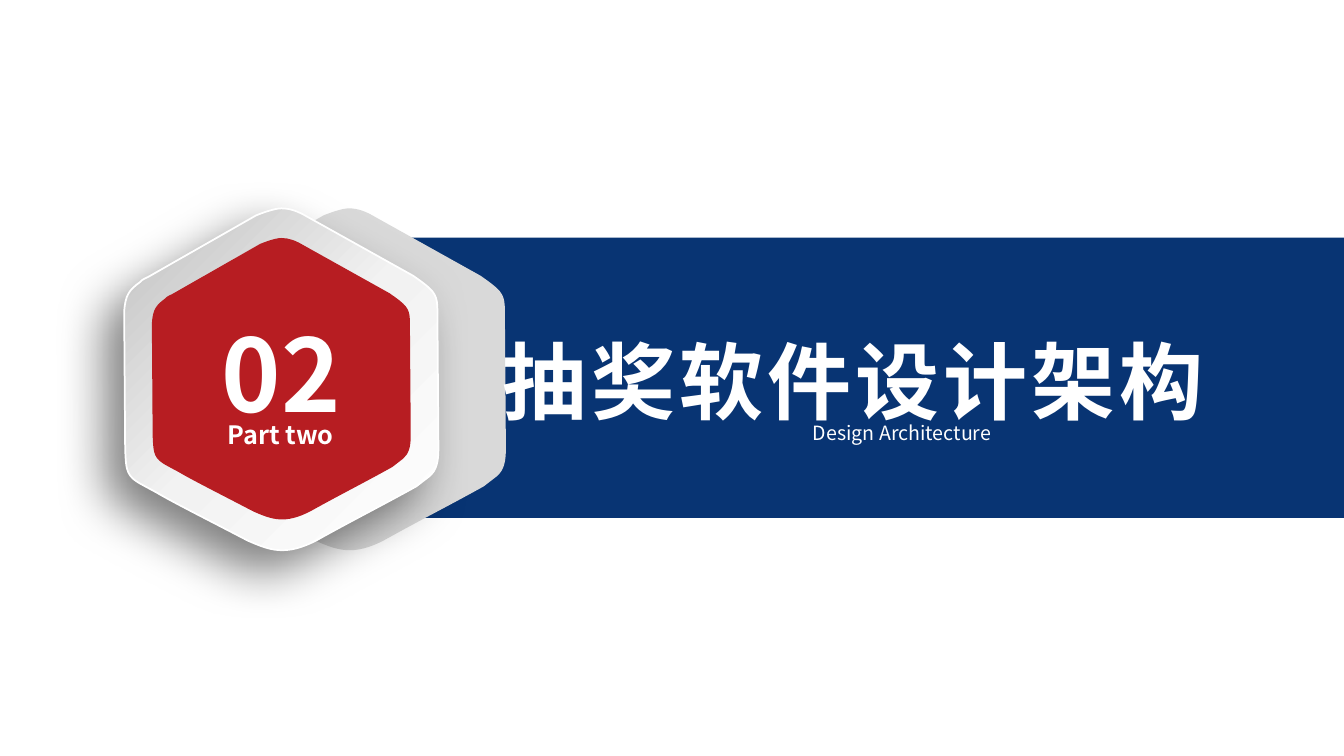
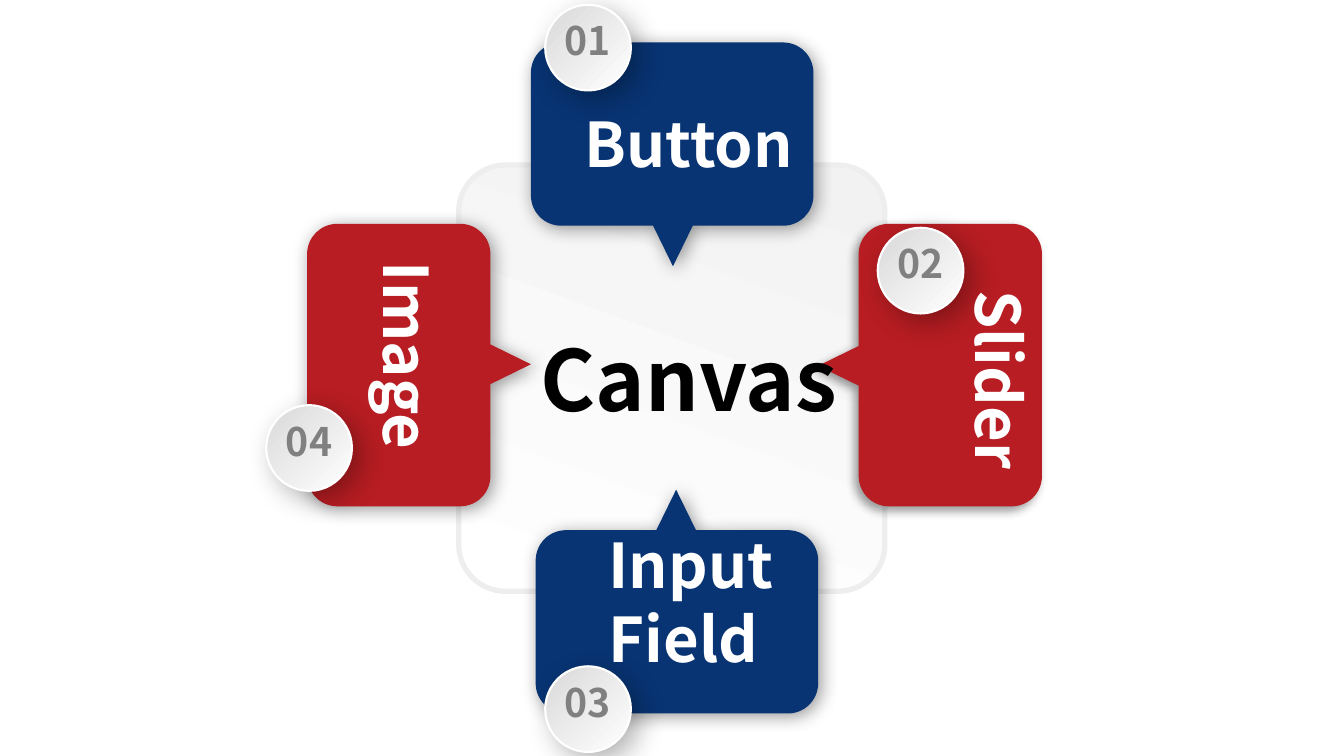
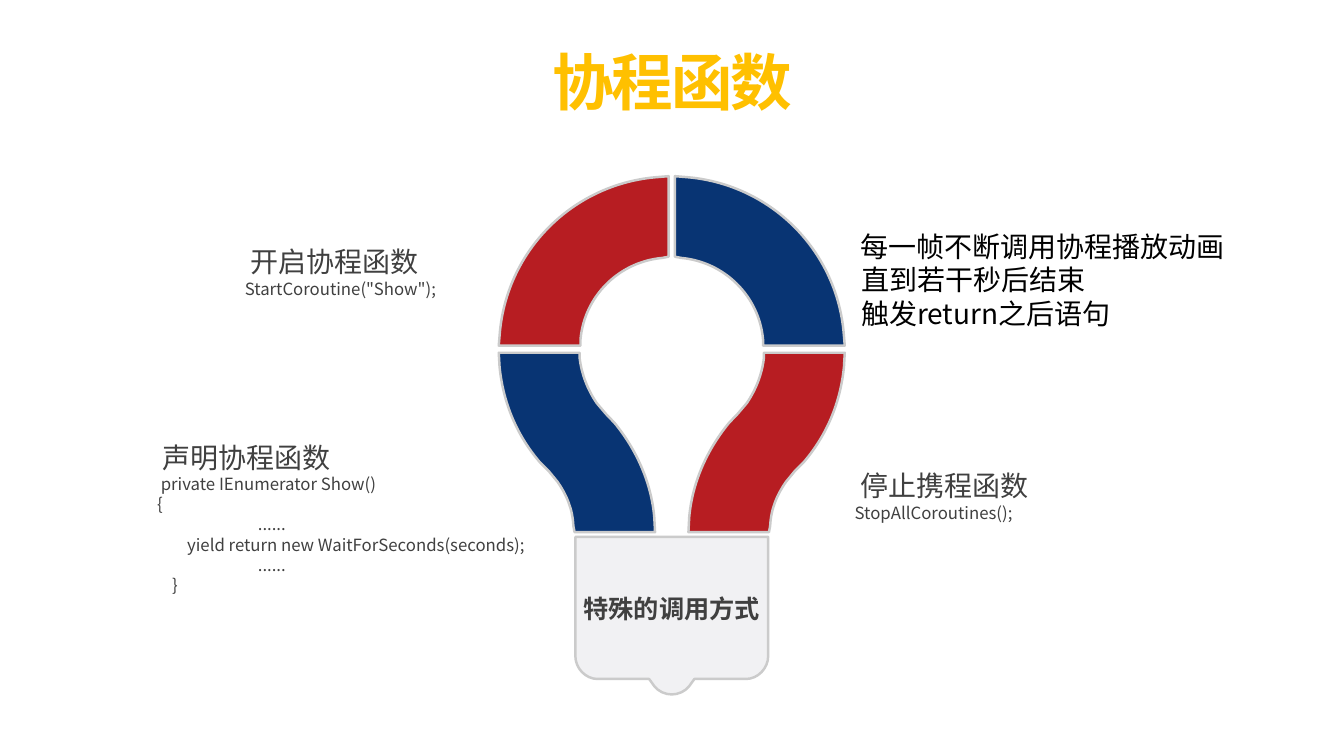
"""Build three slides: a section cover, a canvas diagram and a coroutine light bulb."""
import lxml.etree
import pptx
import pptx.dml.color
import pptx.enum.shapes
import pptx.enum.text
import pptx.oxml.ns
import pptx.util

Cm = pptx.util.Cm
Pt = pptx.util.Pt
RGBColor = pptx.dml.color.RGBColor
SHAPE = pptx.enum.shapes.MSO_SHAPE
ALIGN = pptx.enum.text.PP_ALIGN
qn = pptx.oxml.ns.qn

FONT = "Noto Sans CJK SC"
NAVY = RGBColor(0x08, 0x34, 0x73)
RED = RGBColor(0xB7, 0x1D, 0x22)
GOLD = RGBColor(0xFF, 0xC0, 0x00)
WHITE = RGBColor(0xFF, 0xFF, 0xFF)
BLACK = RGBColor(0x00, 0x00, 0x00)
CHARCOAL = RGBColor(0x40, 0x40, 0x40)
GRAY = RGBColor(0x80, 0x80, 0x80)
SILVER = RGBColor(0xBF, 0xBF, 0xBF)
EDGE = RGBColor(0xCB, 0xCB, 0xCB)
LIGHT = RGBColor(0xD9, 0xD9, 0xD9)
FRAME = RGBColor(0xEE, 0xEE, 0xEE)
PALE = RGBColor(0xF2, 0xF2, 0xF2)
BASE = RGBColor(0xF1, 0xF1, 0xF3)

HEXAGON_WIDTH = 312
HEXAGON = [
    (156, 0), (149, 0, 136, 5, 131, 7), (24, 68), (22, 69, 17, 71, 16, 73),
    (5, 81, 1, 86, 0, 103), (1, 239), (2, 261, 2, 266, 19, 275), (32, 282),
    (49, 292, 77, 306, 123, 330), (144, 339, 160, 346, 192, 329),
    (226, 310, 254, 296, 290, 276), (297, 271, 297, 271, 303, 266),
    (310, 260, 312, 252, 312, 238), (311, 102), (311, 87, 309, 83, 294, 72),
    (287, 67), (183, 9), (173, 3, 165, 0, 156, 0),
]
CALLOUT = [
    (-2.79, -2.31), (2.79, -2.31), (3.22, -2.31, 3.56, -1.97, 3.56, -1.54),
    (3.56, 1.54), (3.56, 1.97, 3.22, 2.31, 2.79, 2.31), (0.52, 2.31), (0.02, 3.33),
    (-0.48, 2.31), (-2.79, 2.31), (-3.22, 2.31, -3.56, 1.97, -3.56, 1.54),
    (-3.56, -1.54), (-3.56, -1.97, -3.22, -2.31, -2.79, -2.31),
]
BULB_ARC = [
    (0.08, 0), (0.44, 0.03), (2.5, 0.23, 4.13, 1.85, 4.33, 3.91), (4.36, 4.27),
    (2.3, 4.27), (2.3, 4.11), (2.2, 3.02, 1.33, 2.16, 0.24, 2.06), (0.08, 2.03),
]
BULB_NECK = [
    (4.36, 4.45), (2.32, 4.45), (2.32, 4.6), (2.27, 5, 2.12, 5.38, 1.89, 5.72),
    (1.66, 5.99), (1.44, 6.22), (0.9, 6.88, 0.52, 7.7, 0.44, 8.59), (0.42, 8.97),
    (2.45, 8.97), (2.48, 8.81), (2.5, 8.38, 2.65, 8.03, 2.88, 7.7), (3.11, 7.42),
    (3.34, 7.19), (3.9, 6.53, 4.25, 5.72, 4.34, 4.8),
]
BULB_BASE = [
    (-2.43, 9.09), (2.43, 9.09), (2.43, 12.09), (2.43, 12.4, 2.17, 12.67, 1.87, 12.67),
    (0.57, 12.67), (0.44, 12.85), (0.34, 12.98, 0.17, 13.06, 0, 13.06),
    (-0.17, 13.06, -0.34, 12.98, -0.44, 12.85), (-0.57, 12.67), (-1.87, 12.67),
    (-2.17, 12.67, -2.43, 12.4, -2.43, 12.09),
]
BULB_AXIS, BULB_TOP = 16.93, 4.44

CONTROLS = [
    dict(number="01", label="Button", color=NAVY, center=(16.94, 3.38),
         badge=(13.74, 0.12), box=(14.48, 2.54, 6.45, 2.13)),
    dict(number="02", label="Slider", color=RED, center=(23.95, 9.2),
         badge=(22.12, 5.74), box=(23.88, 7.06, 2.39, 6.25)),
    dict(number="03", label="Input Field", color=NAVY, center=(17.06, 15.67),
         badge=(13.74, 16.79), box=(15.09, 13.16, 6.3, 4.01)),
    dict(number="04", label="Image", color=RED, center=(10.05, 9.2),
         badge=(6.71, 10.21), box=(8.94, 6.35, 2.39, 5.94)),
]
BADGE_SIZE = 2.16
NUMBER_WIDTH = 3.63

NOTES = [
    dict(box=(5.92, 6.04, 5.38, 1.63), color=CHARCOAL, heading=["开启协程函数"],
         code=['StartCoroutine("Show");']),
    dict(box=(3.71, 10.97, 10.87, 5.56), color=CHARCOAL, heading=["声明协程函数"],
         code=[" private IEnumerator Show()", "{", "        \t......",
               "        yield return new WaitForSeconds(seconds);",
               " \t......", "    }"]),
    dict(box=(21.29, 5.65, 10.01, 3.68), color=BLACK, code=[],
         heading=["每一帧不断调用协程播放动画", "直到若干秒后结束", "触发return之后语句"]),
    dict(box=(21.29, 11.69, 5.05, 1.63), color=CHARCOAL, heading=["停止携程函数"],
         code=["StopAllCoroutines();"]),
]


def place(shape, left, top, width, height):
    shape.left, shape.top, shape.width, shape.height = map(Cm, (left, top, width, height))


def add_element(parent, tag, **attributes):
    element = lxml.etree.SubElement(parent, qn(tag))
    for name, value in attributes.items():
        element.set(name, str(value))
    return element


def add_span(para, text, size, color, bold=False, spacing=None):
    span = para.add_run()
    span.text = text
    span.font.size = Pt(size)
    span.font.bold = bold
    span.font.color.rgb = color
    span.font.name = FONT
    properties = span.font._element
    add_element(properties, "a:ea", typeface=FONT)
    if spacing is not None:
        properties.set("spc", str(int(spacing * 100)))


def prepare_frame(shape):
    frame = shape.text_frame
    frame.word_wrap = True
    frame.auto_size = pptx.enum.text.MSO_AUTO_SIZE.NONE
    frame.vertical_anchor = pptx.enum.text.MSO_ANCHOR.TOP
    return frame


def write_line(shape, text, size, color, bold=True, align=ALIGN.LEFT, spacing=None):
    frame = prepare_frame(shape)
    para = frame.paragraphs[0]
    para.alignment = align
    para.space_before = Pt(0)
    add_span(para, text, size, color, bold, spacing)
    return frame


def add_box(page, box):
    return page.shapes.add_textbox(*map(Cm, box))


def bring_to_front(shape):
    shape.element.getparent().append(shape.element)


def paint(shape, fill, line=None, width=1.25):
    shape.shadow.inherit = False
    shape.fill.solid()
    shape.fill.fore_color.rgb = fill
    if line is None:
        shape.line.fill.background()
    else:
        shape.line.color.rgb = line
        shape.line.width = Pt(width)


def set_gradient(shape, colors, angle):
    shape.fill.gradient()
    gradient = shape.element.spPr.find(qn("a:gradFill"))
    for child in list(gradient):
        gradient.remove(child)
    stops = add_element(gradient, "a:gsLst")
    for index, color in enumerate(colors):
        stop = add_element(stops, "a:gs", pos=100000 * index // (len(colors) - 1))
        add_element(stop, "a:srgbClr", val=color)
    add_element(gradient, "a:lin", ang=angle * 60000, scaled=0)


def set_shadow(shape, opacity, blur, distance, angle):
    effects = shape.element.spPr.find(qn("a:effectLst"))
    shadow = add_element(effects, "a:outerShdw", blurRad=Pt(blur), dist=Pt(distance),
                         dir=angle * 60000, algn="ctr", rotWithShape=0)
    color = add_element(shadow, "a:srgbClr", val=BLACK)
    add_element(color, "a:alpha", val=opacity * 1000)


def map_outline(outline, change):
    """Apply a change of coordinates to every point of an outline."""
    return [tuple(value for pair in zip(step[::2], step[1::2]) for value in change(*pair))
            for step in outline]


def add_outline(page, outline, left, top):
    """Draw an outline whose two-number steps are lines and six-number steps curves."""
    corners = [(Cm(left + x), Cm(top + y))
               for step in outline for x, y in zip(step[::2], step[1::2])]
    builder = page.shapes.build_freeform(*corners[0])
    builder.add_line_segments(corners[1:], close=True)
    shape = builder.convert_to_shape()
    segments = iter(list(shape.element.iter(qn("a:lnTo"))))
    for step in outline[1:]:
        segment = next(segments)
        if len(step) == 6:
            curve = lxml.etree.Element(qn("a:cubicBezTo"))
            segment.addprevious(curve)
            for part in (segment, next(segments), next(segments)):
                curve.append(part[0])
                part.getparent().remove(part)
    return shape


def add_hexagon(page, left, top, width):
    factor = width / HEXAGON_WIDTH
    outline = map_outline(HEXAGON, lambda x, y: (x * factor, y * factor))
    return add_outline(page, outline, left, top)


def build_cover(deck):
    page = deck.slides.add_slide(deck.slide_layouts[0])
    band = page.shapes.add_shape(SHAPE.RECTANGLE, Cm(10.03), Cm(5.99), Cm(23.84), Cm(7.06))
    paint(band, NAVY)
    paint(add_hexagon(page, 4.83, 5.25, 7.92), LIGHT)
    rim = add_hexagon(page, 3.13, 5.25, 7.92)
    paint(rim, PALE, WHITE)
    set_gradient(rim, [WHITE, PALE, SILVER], 225)
    set_shadow(rim, 50, 35, 20, 135)
    paint(add_hexagon(page, 3.85, 6.02, 6.48), RED, RED)
    write_line(add_box(page, (4.56, 7.72, 5.05, 3.33)), "02", 72, WHITE, align=ALIGN.CENTER)
    write_line(add_box(page, (5.45, 10.43, 3.25, 1.02)), "Part two", 18, WHITE,
               align=ALIGN.CENTER)
    subtitle = page.placeholders[1]
    place(subtitle, 14.52, 10.39, 16.43, 0.94)
    frame = write_line(subtitle, "Design Architecture", 14, WHITE, False, ALIGN.CENTER)
    frame.paragraphs[0].line_spacing = 1.14
    title = page.shapes.title
    place(title, 12.42, 8.18, 20.62, 5.38)
    write_line(title, "抽奖软件设计架构", 60, WHITE, align=ALIGN.JUSTIFY, spacing=3)
    bring_to_front(subtitle)
    bring_to_front(title)


def add_control(page, control, quarter_turns):
    outline = CALLOUT
    for _ in range(quarter_turns):
        outline = map_outline(outline, lambda x, y: (-y, x))
    callout = add_outline(page, outline, *control["center"])
    paint(callout, control["color"])
    set_shadow(callout, 40, *((7, 4, 135) if quarter_turns == 1 else (13, 3, 45)))

    left, top = control["badge"]
    badge = page.shapes.add_shape(SHAPE.OVAL, Cm(left), Cm(top), Cm(BADGE_SIZE), Cm(BADGE_SIZE))
    paint(badge, LIGHT, WHITE, 1.5)
    set_gradient(badge, [LIGHT, WHITE], 45)
    set_shadow(badge, 30, 20, 8, 45)
    number_left = left + (BADGE_SIZE - NUMBER_WIDTH) / 2
    number_box = add_box(page, (number_left, top + 0.17, NUMBER_WIDTH, 1.45))
    write_line(number_box, control["number"], 28, GRAY, align=ALIGN.CENTER)

    frame = write_line(add_box(page, control["box"]), control["label"], 44, WHITE)
    if quarter_turns % 2:
        frame._element.find(qn("a:bodyPr")).set("vert", "eaVert")


def build_canvas(deck):
    page = deck.slides.add_slide(deck.slide_layouts[5])
    canvas = page.shapes.add_shape(SHAPE.ROUNDED_RECTANGLE, Cm(11.56), Cm(4.16),
                                   Cm(10.74), Cm(10.74))
    canvas.adjustments[0] = 0.11
    paint(canvas, PALE, FRAME, 3.75)
    set_gradient(canvas, [WHITE, PALE], 290)
    for quarter_turns, control in enumerate(CONTROLS):
        add_control(page, control, quarter_turns)
    title = page.shapes.title
    place(title, 13.37, 8.13, 8.15, 2.82)
    write_line(title, "Canvas", 60, BLACK)
    bring_to_front(title)


def add_note(page, note):
    frame = prepare_frame(add_box(page, note["box"]))
    lines = [(text, 20) for text in note["heading"]] + [(text, 12) for text in note["code"]]
    for index, (text, size) in enumerate(lines):
        para = frame.add_paragraph() if index else frame.paragraphs[0]
        para.alignment = ALIGN.LEFT
        properties = para._p.get_or_add_pPr()
        if size == 20:
            properties.set("marL", str(Cm(0.16 if index else 0.14)))
        if "\t" in text:
            tabs = add_element(properties, "a:tabLst")
            add_element(tabs, "a:tab", pos=Cm(2.54), algn="l")
        add_span(para, text, size, note["color"])


def build_bulb(deck):
    page = deck.slides.add_slide(deck.slide_layouts[5])
    title = page.shapes.title
    place(title, 13.74, 1.01, 9.02, 2.08)
    frame = write_line(title, "协程函数", 44, GOLD, spacing=-1.5)
    frame.margin_left = frame.margin_right = Cm(0.18)
    frame.margin_top = frame.margin_bottom = Cm(0.1)

    base = add_outline(page, BULB_BASE, BULB_AXIS, BULB_TOP)
    paint(base, BASE, EDGE, 1.75)
    write_line(add_box(page, (BULB_AXIS - 2.7, 14.83, 5.4, 1.02)), "特殊的调用方式", 18,
               CHARCOAL, align=ALIGN.CENTER)
    parts = [(BULB_ARC, 1, NAVY), (BULB_ARC, -1, RED),
             (BULB_NECK, -1, NAVY), (BULB_NECK, 1, RED)]
    for outline, side, color in parts:
        mirrored = map_outline(outline, lambda x, y: (side * x, y))
        paint(add_outline(page, mirrored, BULB_AXIS, BULB_TOP), color, EDGE, 1.75)
    for note in NOTES:
        add_note(page, note)


def main():
    deck = pptx.Presentation()
    deck.slide_width, deck.slide_height = Cm(33.87), Cm(19.05)
    build_cover(deck)
    build_canvas(deck)
    build_bulb(deck)
    deck.save("out.pptx")


if __name__ == "__main__":
    main()
